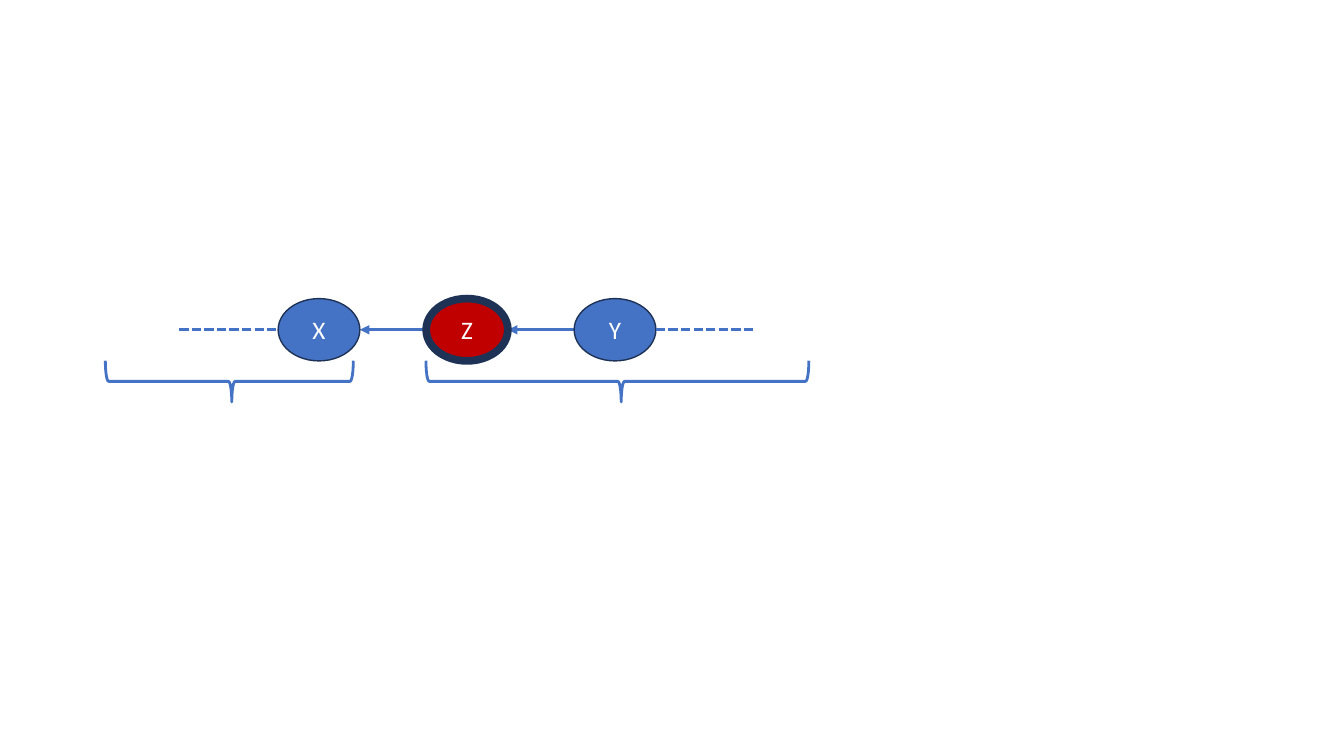
import pptx
import pptx.dml.color
import pptx.enum.dml
import pptx.enum.shapes
import pptx.enum.text
import pptx.oxml.ns
import pptx.util
from lxml import etree

Cm, Pt = pptx.util.Cm, pptx.util.Pt
RGBColor = pptx.dml.color.RGBColor
Kind = pptx.enum.shapes.MSO_SHAPE
qn = pptx.oxml.ns.qn

BLUE = RGBColor(0x44, 0x72, 0xC4)
NAVY = RGBColor(0x1E, 0x32, 0x56)
RED = RGBColor(0xC0, 0x00, 0x00)
WHITE = RGBColor(0xFF, 0xFF, 0xFF)

WIDE, HIGH = 2.06, 1.57     # node size
STEP = 3.73                 # from one node to the next
LEFT, MID = 7.01, 8.31      # left edge of the first node, axis of the chain
DASH = 2.49                 # length of the dashed ends


class Chain:
    font = "Calibri"
    size = Pt(18)

    def __init__(self, slide):
        self.shapes = slide.shapes

    def node(self, x, name, fill, edge):
        oval = self.shapes.add_shape(Kind.OVAL, Cm(x), Cm(MID - HIGH / 2), Cm(WIDE), Cm(HIGH))
        oval.shadow.inherit = False
        oval.fill.solid()
        oval.fill.fore_color.rgb = fill
        oval.line.color.rgb = NAVY
        oval.line.width = Pt(edge)
        frame = oval.text_frame
        frame.vertical_anchor = pptx.enum.text.MSO_ANCHOR.MIDDLE
        para = frame.paragraphs[0]
        para.alignment = pptx.enum.text.PP_ALIGN.CENTER
        run = para.add_run()
        run.text = name
        run.font.name = self.font
        run.font.size = self.size
        run.font.color.rgb = WHITE

    def link(self, start, end):
        line = self.shapes.add_connector(
            pptx.enum.shapes.MSO_CONNECTOR.STRAIGHT, Cm(start), Cm(MID), Cm(end), Cm(MID))
        line.line.color.rgb = BLUE
        line.line.width = Pt(2.25)
        etree.SubElement(line._element.spPr, qn("a:effectLst"))
        return line.line

    def arrow(self, start, end):
        line = self.link(start, end)
        etree.SubElement(line._get_or_add_ln(), qn("a:tailEnd"), type="triangle")

    def dash(self, start, end):
        self.link(start, end).dash_style = pptx.enum.dml.MSO_LINE.SQUARE_DOT

    def brace(self, x, span):
        """Draw a brace below the chain, centred on x, with its tip down."""
        depth, mid = 1.04, 9.61
        brace = self.shapes.add_shape(
            Kind.LEFT_BRACE, Cm(x - depth / 2), Cm(mid - span / 2), Cm(depth), Cm(span))
        brace.rotation = 270
        brace.adjustments[0] = 0.08
        brace.adjustments[1] = 0.51
        brace.shadow.inherit = False
        brace.fill.background()
        brace.line.color.rgb = BLUE
        brace.line.width = Pt(2)


def main():
    deck = pptx.Presentation()
    deck.slide_width, deck.slide_height = Cm(33.87), Cm(19.05)
    chain = Chain(deck.slides.add_slide(deck.slide_layouts[6]))

    x, z, y = (LEFT + i * STEP for i in range(3))
    for right, left in ((y, z), (z, x)):
        chain.arrow(right, left + WIDE)
    chain.node(x, "X", BLUE, 1)
    chain.node(z, "Z", RED, 5.5)
    chain.node(y, "Y", BLUE, 1)
    chain.dash(x - DASH, x)
    chain.dash(y + WIDE, y + WIDE + DASH)
    chain.brace(5.78, 6.25)
    chain.brace(15.56, 9.65)

    deck.save("out.pptx")


if __name__ == "__main__":
    main()
